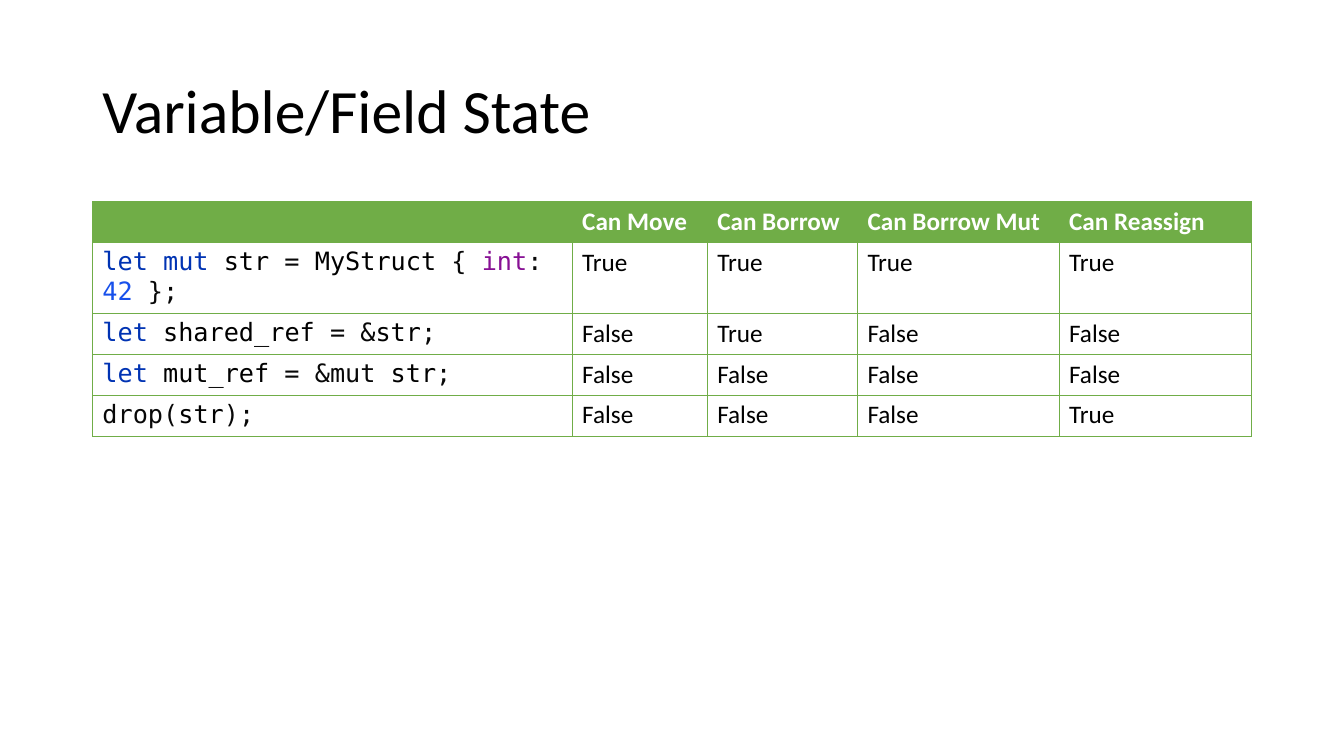
from lxml.etree import SubElement
from pptx import Presentation
from pptx.dml.color import RGBColor
from pptx.enum.text import MSO_ANCHOR
from pptx.oxml.ns import qn
from pptx.util import Pt

GREEN = RGBColor(0x70, 0xAD, 0x47)
WHITE = RGBColor(0xFF, 0xFF, 0xFF)
BLACK = RGBColor(0x00, 0x00, 0x00)
KEYWORD = RGBColor(0x00, 0x33, 0xB3)
SYMBOL = RGBColor(0x08, 0x08, 0x08)
FIELD = RGBColor(0x87, 0x10, 0x94)
NUMBER = RGBColor(0x17, 0x50, 0xEB)

LEFT, WIDTH = 66, 828
COL_WIDTHS = [342.7, 96.5, 107.3, 144, 137.5]
ROW_HEIGHT = 29.25

HEADERS = ["Can Move", "Can Borrow", "Can Borrow Mut", "Can Reassign"]
STATES = [
    ([("let mut ", KEYWORD), ("str ", BLACK), ("= ", SYMBOL),
      ("MyStruct ", BLACK), ("{ ", SYMBOL), ("int", FIELD), (": ", SYMBOL),
      ("42 ", NUMBER), ("};", SYMBOL)],
     [True, True, True, True]),
    ([("let ", KEYWORD), ("shared_ref ", BLACK), ("= &", SYMBOL),
      ("str", BLACK), (";", SYMBOL)],
     [False, True, False, False]),
    ([("let ", KEYWORD), ("mut_ref ", BLACK), ("= &mut ", SYMBOL),
      ("str", BLACK), (";", SYMBOL)],
     [False, False, False, False]),
    ([("drop(", SYMBOL), ("str", BLACK), (");", SYMBOL)],
     [False, False, False, True]),
]


class Deck:
    """Holds the style and the current slide."""

    font, code_font = "Calibri", "DejaVu Sans Mono"
    title_size, body_size = 44, 18

    def __init__(self, prs):
        """Add a blank slide to the presentation."""
        self.s = prs.slides.add_slide(prs.slide_layouts[6])

    def add_runs(self, p, runs, size, font, bold=False):
        """Fill a paragraph with (text, colour) runs."""
        p.font.size, p.font.name, p.font.bold = Pt(size), font, bold
        for text, color in runs:
            r = p.add_run()
            r.text = text
            r.font.color.rgb = color

    def title(self, text, x, y, w, h):
        """Add the slide title, centred vertically in its box."""
        tf = self.s.shapes.add_textbox(Pt(x), Pt(y), Pt(w), Pt(h)).text_frame
        tf.word_wrap = True
        tf.vertical_anchor = MSO_ANCHOR.MIDDLE
        p = tf.paragraphs[0]
        p.line_spacing = 0.9
        self.add_runs(p, [(text, BLACK)], self.title_size, self.font)

    def border(self, cell, color, width):
        """Draw a line on all four sides of a cell."""
        tc_pr = cell._tc.get_or_add_tcPr()
        for i, side in enumerate(("a:lnL", "a:lnR", "a:lnT", "a:lnB")):
            ln = SubElement(tc_pr, qn(side), w=str(Pt(width)))
            fill = SubElement(ln, qn("a:solidFill"))
            SubElement(fill, qn("a:srgbClr"), val=str(color))
            tc_pr.insert(i, ln)

    def cell(self, cell, runs, font=font, header=False):
        """Fill, border and label one table cell."""
        if header:
            cell.fill.solid()
            cell.fill.fore_color.rgb = GREEN
        else:
            cell.fill.background()
        self.border(cell, GREEN, 0.5)
        self.add_runs(cell.text_frame.paragraphs[0], runs, self.body_size,
                      font, header)

    def state_table(self, x, y, headers, states):
        """Add the table of code lines and what each one allows."""
        n_rows, n_cols = len(states) + 1, len(headers) + 1
        table = self.s.shapes.add_table(
            n_rows, n_cols, Pt(x), Pt(y), Pt(WIDTH),
            Pt(ROW_HEIGHT * n_rows)).table
        for col, w in zip(table.columns, COL_WIDTHS):
            col.width = Pt(w)
        for row in table.rows:
            row.height = Pt(ROW_HEIGHT)
        self.cell(table.cell(0, 0), [], header=True)
        for c, text in enumerate(headers, 1):
            self.cell(table.cell(0, c), [(text, WHITE)], header=True)
        for r, (code, flags) in enumerate(states, 1):
            self.cell(table.cell(r, 0), code, self.code_font)
            for c, flag in enumerate(flags, 1):
                self.cell(table.cell(r, c), [(str(flag), BLACK)])


def main():
    """Build the slide and save it."""
    prs = Presentation()
    prs.slide_width, prs.slide_height = Pt(960), Pt(540)
    deck = Deck(prs)
    deck.title("Variable/Field State", LEFT, 28.75, WIDTH, 104.4)
    deck.state_table(LEFT, 144, HEADERS, STATES)
    prs.save("out.pptx")


main()
